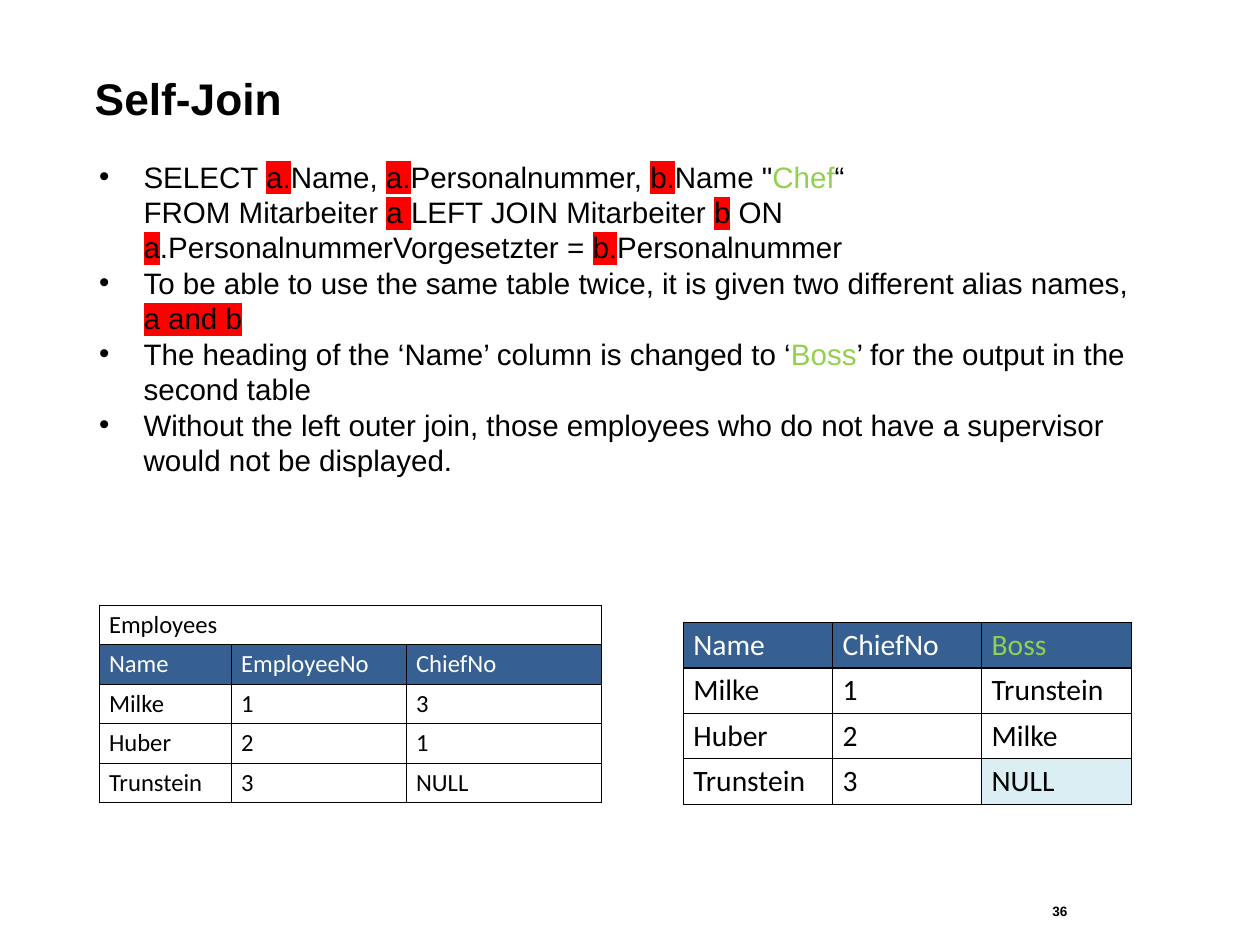
from lxml.etree import SubElement
from pptx import Presentation
from pptx.dml.color import RGBColor
from pptx.enum.text import MSO_ANCHOR
from pptx.oxml.ns import qn
from pptx.util import Inches, Pt

BLACK = RGBColor(0x00, 0x00, 0x00)
WHITE = RGBColor(0xFF, 0xFF, 0xFF)
RED = RGBColor(0xFF, 0x00, 0x00)
GREEN = RGBColor(0x92, 0xD0, 0x50)
BLUE = RGBColor(0x37, 0x60, 0x92)
PALE_BLUE = RGBColor(0xDB, 0xEE, 0xF4)

# Content: a run is plain text or (text, style)
ALIAS, LABEL, BREAK = "alias", "label", "\n"
TITLE = "Self-Join"
PAGE_NUMBER = "36"
BULLETS = [
    ["SELECT ", ("a.", ALIAS), "Name, ", ("a.", ALIAS), "Personalnummer, ",
     ("b.", ALIAS), 'Name "', ("Chef", LABEL), "“", BREAK,
     "FROM Mitarbeiter ", ("a ", ALIAS), "LEFT JOIN Mitarbeiter ",
     ("b", ALIAS), " ON ", ("a", ALIAS), ".PersonalnummerVorgesetzter = ",
     ("b.", ALIAS), "Personalnummer"],
    ["To be able to use the same table twice, it is given two different alias names, ",
     ("a and b", ALIAS)],
    ["The heading of the ‘Name’ column is changed to ‘", ("Boss", LABEL),
     "’ for the output in the second table"],
    ["Without the left outer join, those employees who do not have a supervisor "
     "would not be displayed."],
]
EMPLOYEES = [
    ["Employees", "", ""],
    ["Name", "EmployeeNo", "ChiefNo"],
    ["Milke", "1", "3"],
    ["Huber", "2", "1"],
    ["Trunstein", "3", "NULL"],
]
RESULT = [
    ["Name", "ChiefNo", ("Boss", LABEL)],
    ["Milke", "1", "Trunstein"],
    ["Huber", "2", "Milke"],
    ["Trunstein", "3", "NULL"],
]

# Areas: left, top, width, height in percent of the slide
TITLE_AREA = (7.52, 7.4, 84.95, 5.9)
BODY_AREA = (7.88, 16.78, 83.12, 41.61)
EMPLOYEES_AREA = (7.88, 64.04, 39.87, 20.9)
RESULT_AREA = (54.26, 65.89, 35.51, 19.21)
NUMBER_AREA = (82.84, 95.08, 12.87, 2.72)

presentation = Presentation()
presentation.slide_width = Inches(14.22)
presentation.slide_height = Inches(10.67)
slide = presentation.slides.add_slide(presentation.slide_layouts[6])


def place(area):
    sides = (presentation.slide_width, presentation.slide_height) * 2
    return [round(side * share / 100) for side, share in zip(sides, area)]


def write_text(frame, paragraphs, size, font="Arial", color=BLACK, bold=False,
               bullet=False, line_spacing=None):
    for index, runs in enumerate(paragraphs):
        paragraph = frame.add_paragraph() if index else frame.paragraphs[0]
        if bullet:
            properties = paragraph._p.get_or_add_pPr()
            properties.set("marL", str(Inches(0.5)))
            properties.set("indent", str(-Inches(0.5)))
            SubElement(properties, qn("a:buFont"), typeface="Arial")
            SubElement(properties, qn("a:buChar"), char="•")
        if line_spacing:
            paragraph.line_spacing = line_spacing
        paragraph.font.size = Pt(size)
        for item in runs:
            if item == BREAK:
                paragraph.add_line_break()
                continue
            text, style = (item, None) if isinstance(item, str) else item
            run = paragraph.add_run()
            run.text = text
            run.font.size, run.font.bold = Pt(size), bold
            run.font.color.rgb = GREEN if style == LABEL else color
            if style == ALIAS:
                highlight = SubElement(run._r.get_or_add_rPr(), qn("a:highlight"))
                SubElement(highlight, qn("a:srgbClr"), val=str(RED))
            run.font.name = font


def add_text(area, paragraphs, margins=(0, 0), anchor=MSO_ANCHOR.TOP, **text_format):
    frame = slide.shapes.add_textbox(*place(area)).text_frame
    frame.word_wrap = True
    frame.vertical_anchor = anchor
    frame.margin_left = frame.margin_right = Inches(margins[0])
    frame.margin_top = frame.margin_bottom = Inches(margins[1])
    write_text(frame, paragraphs, **text_format)


def add_borders(cell):
    properties = cell._tc.get_or_add_tcPr()
    for side in ("a:lnL", "a:lnR", "a:lnT", "a:lnB"):
        line = SubElement(properties, qn(side), w=str(Pt(1)))
        SubElement(SubElement(line, qn("a:solidFill")), qn("a:srgbClr"), val=str(BLACK))


def add_data_table(area, rows, column_shares, header_row, size, fills=None):
    left, top, width, height = place(area)
    table = slide.shapes.add_table(len(rows), len(column_shares),
                                   left, top, width, height).table
    table.first_row = table.horz_banding = False
    for column, share in zip(table.columns, column_shares):
        column.width = round(width * share / sum(column_shares))
    for row_index, values in enumerate(rows):
        table.rows[row_index].height = round(height / len(rows))
        is_header = row_index == header_row
        for column_index, value in enumerate(values):
            cell = table.cell(row_index, column_index)
            cell.vertical_anchor = MSO_ANCHOR.TOP if is_header else MSO_ANCHOR.MIDDLE
            cell.margin_left = cell.margin_right = Inches(0.11)
            cell.margin_top = cell.margin_bottom = Inches(0.05)
            add_borders(cell)
            fill = BLUE if is_header else (fills or {}).get((row_index, column_index))
            if fill:
                cell.fill.solid()
                cell.fill.fore_color.rgb = fill
            else:
                cell.fill.background()
            write_text(cell.text_frame, [[value] if value else []], size=size,
                       font="Calibri", color=WHITE if is_header else BLACK)
    return table


# Page number
add_text(NUMBER_AREA, [[PAGE_NUMBER]], margins=(0.1, 0.05), size=11, bold=True)

# Title and explanation
add_text(TITLE_AREA, [[TITLE]], anchor=MSO_ANCHOR.MIDDLE, size=36, bold=True)
add_text(BODY_AREA, BULLETS, size=24, bullet=True, line_spacing=Pt(28.8))

# Source table with a title row, and the query result
employees = add_data_table(EMPLOYEES_AREA, EMPLOYEES, (1.49, 1.97, 2.2),
                           header_row=1, size=20)
employees.cell(0, 0).merge(employees.cell(0, 2))
add_data_table(RESULT_AREA, RESULT, (1, 1, 1), header_row=0, size=24,
               fills={(3, 2): PALE_BLUE})

presentation.save("out.pptx")
